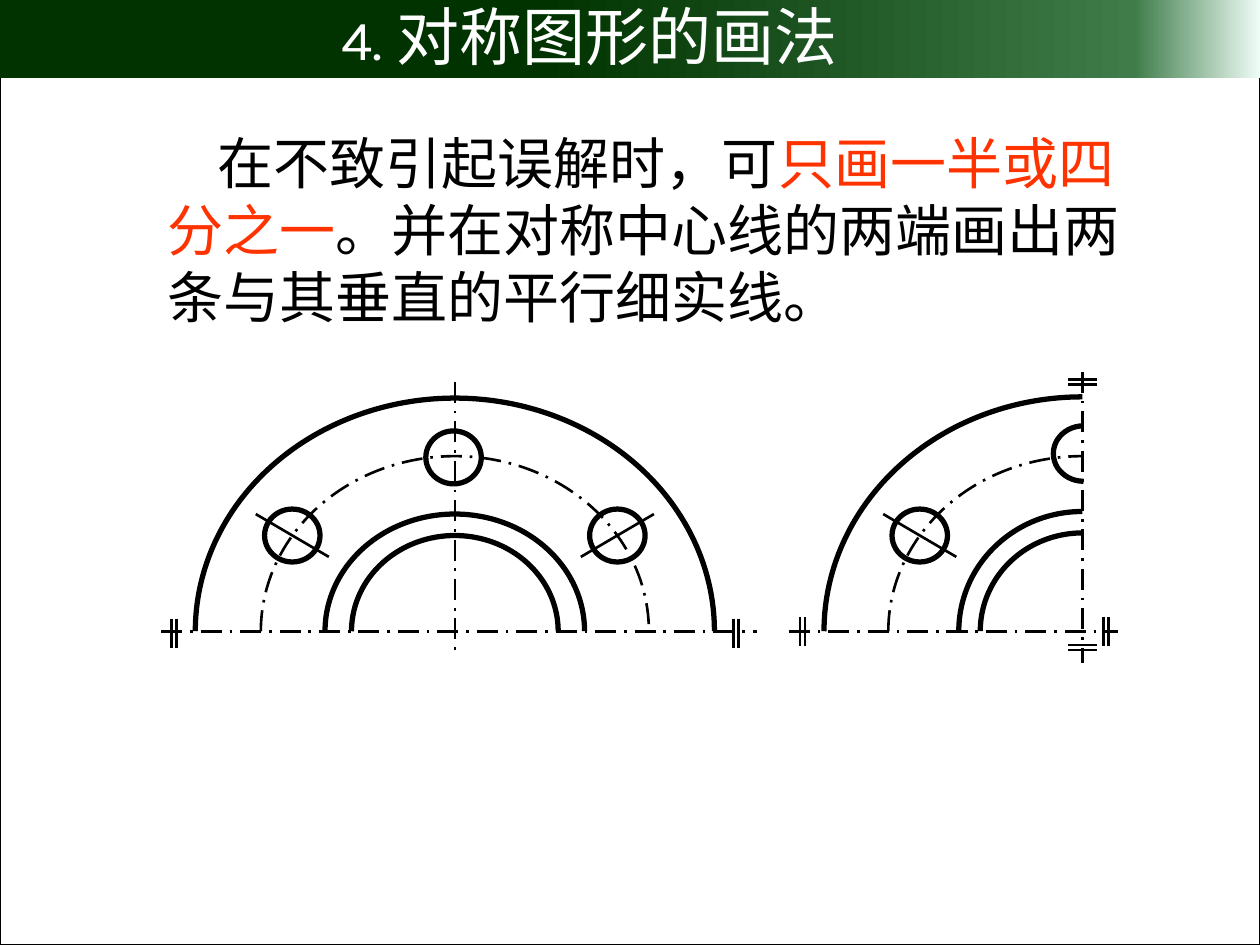
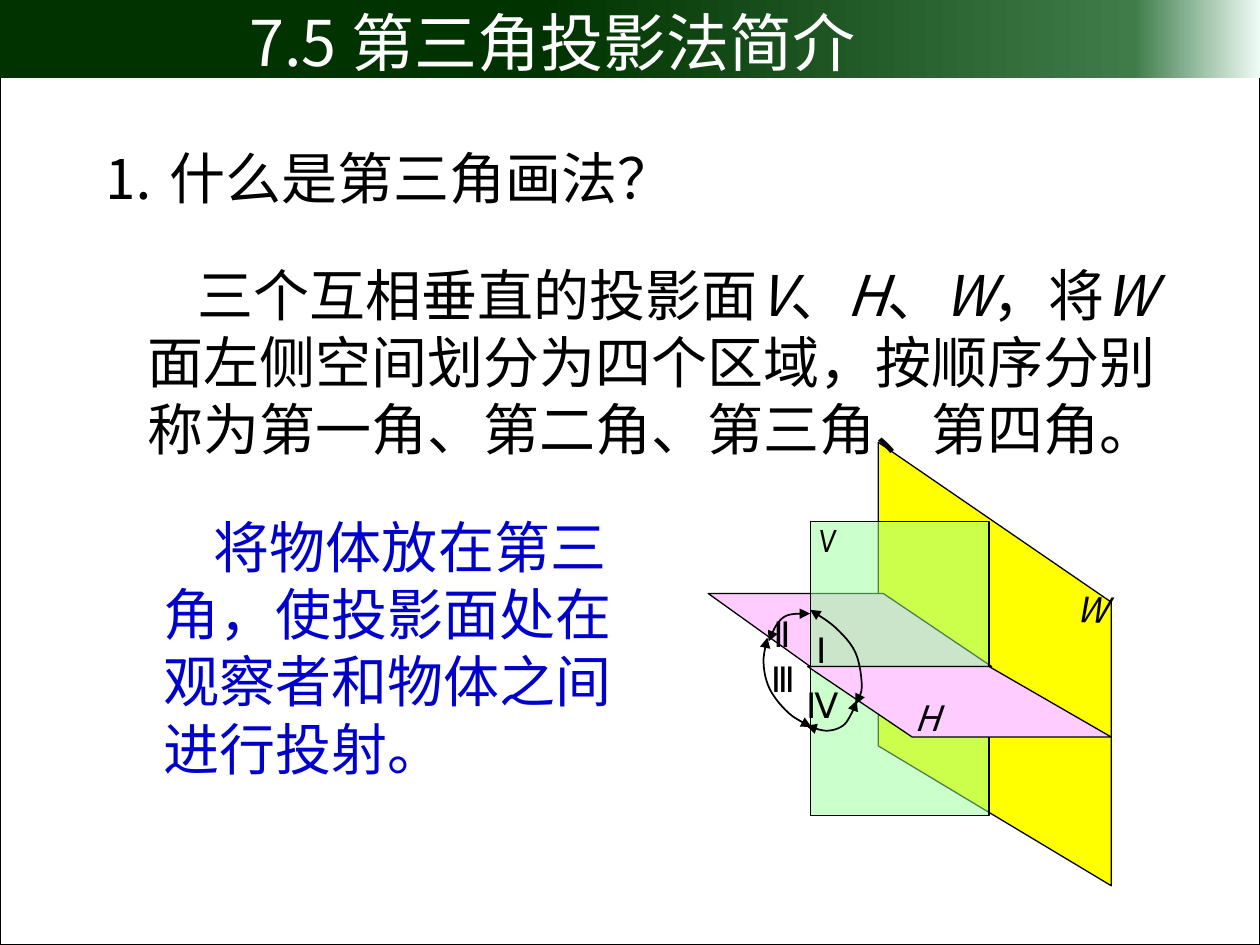
from copy import deepcopy
from itertools import product

from pptx import Presentation
from pptx.dml.color import RGBColor
from pptx.enum.dml import MSO_LINE
from pptx.enum.shapes import MSO_CONNECTOR, MSO_SHAPE
from pptx.enum.text import MSO_ANCHOR, MSO_AUTO_SIZE, PP_ALIGN
from pptx.oxml.ns import qn
from pptx.util import Inches, Pt

COLORS = {
    "ink": "000000", "white": "FFFFFF", "accent": "FF3300", "note": "0000CC",
    "band_dark": "003300", "band_mid": "3F7C49", "band_light": "EEFCF6",
    "plane_w": "FFFF00", "plane_h": "FFCCFF", "plane_v": "99FF99",
}
CJK_FONT = "Noto Sans CJK SC"
LATIN_FONT = "Karla"
UNIT = Inches(0.1)
COLUMNS, ROWS = 100, 75
ARC_HALF = (108, 0)
ARC_QUARTER = (108, 162)
ARC_LEFT = (54, 162)


def color(name):
    """Return the named palette colour."""
    return RGBColor.from_string(COLORS[name])


def grid(*values):
    """Convert grid units to whole EMU lengths."""
    return [round(value * UNIT) for value in values]


def style_line(line, width, dashed=False):
    """Give a line the ink colour, a width and an optional centre-line dash."""
    line.color.rgb = color("ink")
    line.width = Pt(width)
    if dashed:
        line.dash_style = MSO_LINE.LONG_DASH_DOT


def write_text(shape, segments, size, base="ink", font=CJK_FONT, indent=0, wrap=True):
    """Write (text, overrides) segments into the shape as one paragraph."""
    frame = shape.text_frame
    frame.auto_size = MSO_AUTO_SIZE.NONE
    frame.word_wrap = wrap
    frame.vertical_anchor = MSO_ANCHOR.MIDDLE
    paragraph = frame.paragraphs[0]
    paragraph.alignment = PP_ALIGN.LEFT
    paragraph.line_spacing = Pt(size * 1.2)
    if indent:
        paragraph._p.get_or_add_pPr().set("indent", str(grid(indent)[0]))
    for text, overrides in segments:
        run = paragraph.add_run()
        run.text = text
        run.font.size = Pt(overrides.get("size", size))
        run.font.name = overrides.get("font", font)
        run.font.italic = overrides.get("italic", False)
        run.font.color.rgb = color(overrides.get("color", base))
        east_asian = run._r.get_or_add_rPr().makeelement(qn("a:ea"), {"typeface": CJK_FONT})
        run.font._element.find(qn("a:latin")).addnext(east_asian)


def add_text(slide, box, segments, size, **options):
    """Add a text box at a grid box."""
    shape = slide.shapes.add_textbox(*grid(*box))
    write_text(shape, segments, size, **options)
    return shape


def add_line(slide, start, end, width=1.5, dashed=False):
    """Add a straight line between two grid points."""
    connector = slide.shapes.add_connector(MSO_CONNECTOR.STRAIGHT, *grid(*start, *end))
    style_line(connector.line, width, dashed)
    properties = connector._element.spPr
    properties.append(properties.makeelement(qn("a:effectLst"), {}))


def add_round(slide, center, radii, width=3, dashed=False, arc=None):
    """Add an ellipse, or a part of one, around a grid point."""
    (x, y), (across, up) = center, radii
    kind = MSO_SHAPE.ARC if arc else MSO_SHAPE.OVAL
    shape = slide.shapes.add_shape(kind, *grid(x - across, y - up, 2 * across, 2 * up))
    if arc:
        shape.adjustments[0], shape.adjustments[1] = arc
    shape.shadow.inherit = False
    shape.fill.background()
    style_line(shape.line, width, dashed)


def add_outline(slide, origin, points, width, close):
    """Add a freeform through points measured from the origin."""
    placed = [tuple(grid(origin[0] + x, origin[1] + y)) for x, y in points]
    builder = slide.shapes.build_freeform(*placed[0], scale=1.0)
    builder.add_line_segments(placed[1:], close=close)
    shape = builder.convert_to_shape()
    shape.shadow.inherit = False
    style_line(shape.line, width)
    return shape


def add_plane(slide, origin, points, fill, opacity=100):
    """Add one filled projection plane."""
    shape = add_outline(slide, origin, points, 0.75, True)
    shape.fill.solid()
    shape.fill.fore_color.rgb = color(fill)
    if opacity < 100:
        tint = shape._element.spPr.find(qn("a:solidFill"))[0]
        tint.append(tint.makeelement(qn("a:alpha"), {"val": str(opacity * 1000)}))


def smooth_path(knots, steps=6):
    """Return points of a smooth curve through the knots."""
    padded = [knots[0], *knots, knots[-1]]
    curve = [knots[0]]
    for before, start, end, after in zip(padded, padded[1:], padded[2:], padded[3:]):
        for step in range(1, steps + 1):
            t = step / steps
            curve.append(tuple(
                b + (c - a) * t / 2 + (2 * a - 5 * b + 4 * c - d) * t**2 / 2
                + (3 * b - a - 3 * c + d) * t**3 / 2
                for a, b, c, d in zip(before, start, end, after)))
    return curve


def add_curved_arrow(slide, origin, knots):
    """Add a curve with an arrowhead at each end."""
    shape = add_outline(slide, origin, smooth_path(knots), 1, False)
    shape.fill.background()
    line = shape.line._get_or_add_ln()
    for tag in ("a:headEnd", "a:tailEnd"):
        line.append(line.makeelement(qn(tag), {"type": "triangle"}))


def decorate_layout(slide, layout):
    """Put the page frame and the title band on the shared layout."""
    frame = slide.shapes.add_shape(MSO_SHAPE.RECTANGLE, *grid(0, 0, COLUMNS, ROWS))
    frame.fill.background()
    style_line(frame.line, 0.75)
    band = slide.shapes.add_shape(MSO_SHAPE.RECTANGLE, *grid(0, -0.2, COLUMNS, 6.4))
    band.line.fill.background()
    band.fill.gradient()
    band.fill.gradient_angle = 0
    stop_list = band._element.spPr.find(qn("a:gradFill")).find(qn("a:gsLst"))
    stop_list.append(deepcopy(stop_list[0]))
    shades = (("band_dark", 0.43), ("band_mid", 0.9), ("band_light", 1))
    for stop, (name, position) in zip(band.fill.gradient_stops, shades):
        stop.color.rgb = color(name)
        stop.position = position
    for index, shape in enumerate((frame, band), start=2):
        shape.shadow.inherit = False
        layout.shapes._spTree.insert(index, shape._element)


def place_title(slide, box, segments):
    """Move the title placeholder onto the band and fill it."""
    title = slide.shapes.title
    title.left, title.top, title.width, title.height = grid(*box)
    write_text(title, segments, 36, base="white")


def add_symmetry_mark(slide, center, upright):
    """Draw the two short parallel lines that cross a symmetry axis."""
    x, y = center
    for offset in (-0.2, 0.2):
        if upright:
            add_line(slide, (x + offset, y - 1.15), (x + offset, y + 1.15))
        else:
            add_line(slide, (x - 1.15, y + offset), (x + 1.15, y + offset))


def draw_flange(slide, center, arc, rings, axis_x, axis_y, hole_sides):
    """Draw the flange rings, symmetry axes and side holes around a centre."""
    x, y = center
    for radii in rings:
        add_round(slide, center, radii, arc=arc)
    add_round(slide, center, (15.4, 13.9), 1.5, True, arc)
    add_line(slide, (x + axis_x[0], y), (x + axis_x[1], y), dashed=True)
    add_line(slide, (x, y + axis_y[0]), (x, y + axis_y[1]), dashed=True)
    for side in hole_sides:
        hole_x, hole_y = x + side * 12.9, y - 7.6
        add_round(slide, (hole_x, hole_y), (2.2, 2.1))
        add_line(slide, (hole_x + side * 2.9, hole_y - 1.7),
                 (hole_x - side * 2.9, hole_y + 1.7))


def draw_half_flange(slide, center):
    """Draw the half view with marks on its horizontal axis."""
    x, y = center
    draw_flange(slide, center, ARC_HALF, ((20.6, 18.5), (10.3, 9.3), (8.2, 7.6)),
                (-23.3, 24), (-19.8, 1.5), (-1, 1))
    add_round(slide, (x - 0.1, y - 13.8), (2.2, 2.1))
    for offset in (-22.3, 22.3):
        add_symmetry_mark(slide, (x + offset, y + 0.15), True)


def draw_quarter_flange(slide, center):
    """Draw the quarter view with marks on both axes."""
    x, y = center
    draw_flange(slide, center, ARC_QUARTER, ((20.5, 18.6), (9.8, 9.5), (8.1, 7.8)),
                (-23.3, 2.8), (-20.6, 2.5), (-1,))
    add_round(slide, (x + 0.1, y - 14.1), (2.4, 2.2), arc=ARC_LEFT)
    for offset in (-22.2, 1.9):
        add_symmetry_mark(slide, (x + offset, y), True)
    for offset in (-19.8, 1.3):
        add_symmetry_mark(slide, (x, y + offset), False)


def draw_quadrants(slide, origin):
    """Draw the three projection planes and the four numbered angles."""
    add_plane(slide, origin, [(13.5, 0), (13.5, 24.1), (32, 35.2), (32, 12.7)], "plane_w")
    add_plane(slide, origin, [(22.5, 17.8), (13.9, 12), (0, 12), (8.1, 17.8)], "plane_h")
    corners = list(product((8.1, 22.3), (6.3, 29.6)))
    add_plane(slide, origin, [corners[i] for i in (0, 2, 3, 1)], "plane_v", 50)
    add_plane(slide, origin, [(22.3, 17.8), (32, 23.4), (16.2, 23.4), (7.9, 17.8)], "plane_h")
    arrows = (
        [(8.1, 13.3), (10.1, 14.7), (11.7, 16.7), (12.2, 19.4), (11.7, 20.8)],
        [(8.1, 13.6), (6.4, 13.7), (5.5, 14.4), (4.8, 15.8)],
        [(4.7, 15.5), (4.4, 17.5), (4.9, 19.6), (6.4, 21.5), (8.2, 22.6)],
        [(11.8, 20.5), (11.4, 21.5), (10.7, 22.5), (9.4, 22.9), (7.8, 22.5)],
    )
    for knots in arrows:
        add_curved_arrow(slide, origin, knots)
    labels = (
        ("W", 28.2, 11.1, 3.4, CJK_FONT, 1.9), ("V", 7.7, 5.5, 3.9, LATIN_FONT, 0),
        ("H", 15.4, 19.7, 3.4, CJK_FONT, 0), ("Ⅰ", 7.6, 14.3, 5.4, LATIN_FONT, 0),
        ("Ⅱ", 4.2, 13, 4.8, LATIN_FONT, 0), ("Ⅲ", 4, 16.6, 4.8, LATIN_FONT, 0),
        ("Ⅳ", 6.8, 18.7, 5.4, LATIN_FONT, 0),
    )
    for text, x, y, width, font, rotation in labels:
        box = (origin[0] + x, origin[1] + y, width, 4.3)
        label = add_text(slide, box, [(text, {"italic": text in "VHW"})], 20,
                         font=font, wrap=False)
        label.rotation = rotation


def fill_symmetry_slide(slide):
    """Fill the slide on drawing symmetric figures."""
    place_title(slide, (26.1, -0.7, 52.2, 7),
                [("4. ", {"size": 32, "font": LATIN_FONT}), ("对称图形的画法", {})])
    draw_half_flange(slide, (36.1, 50.1))
    draw_quarter_flange(slide, (85.9, 50.1))
    add_text(slide, (12.3, 9.7, 78.5, 17), [
        ("在不致引起误解时，可", {}),
        ("只画一半或四分之一", {"color": "accent"}),
        ("。并在对称中心线的两端画出两条与其垂直的平行细实线。", {}),
    ], 32, indent=4)


def fill_projection_slide(slide):
    """Fill the slide on third-angle projection."""
    place_title(slide, (18.8, -0.2, 60.1, 7), [("7.5 第三角投影法简介", {})])
    draw_quadrants(slide, (56.2, 35.1))
    add_text(slide, (7, 10.9, 49, 6.3), [("⒈ 什么是第三角画法？", {})], 32, wrap=False)
    italic = {"italic": True}
    add_text(slide, (10.7, 17.5, 82.2, 22.3), [
        ("三个互相垂直的投影面", {}), ("V", italic), ("、", {}), ("H", italic),
        ("、", {}), ("W", italic), ("，将", {}), ("W", italic),
        ("面左侧空间划分为四个区域，按顺序分别称为第一角、第二角、第三角、第四角。", {}),
    ], 32, indent=4)
    add_text(slide, (12, 40.2, 38.6, 22.3),
             [("将物体放在第三角，使投影面处在观察者和物体之间进行投射。", {})],
             32, base="note", indent=4)


def main():
    """Build and save the presentation."""
    presentation = Presentation()
    presentation.slide_width, presentation.slide_height = grid(COLUMNS, ROWS)
    layout = presentation.slide_layouts[5]
    for index, fill_slide in enumerate((fill_symmetry_slide, fill_projection_slide)):
        slide = presentation.slides.add_slide(layout)
        if index == 0:
            decorate_layout(slide, layout)
        fill_slide(slide)
    presentation.save("out.pptx")


if __name__ == "__main__":
    main()
